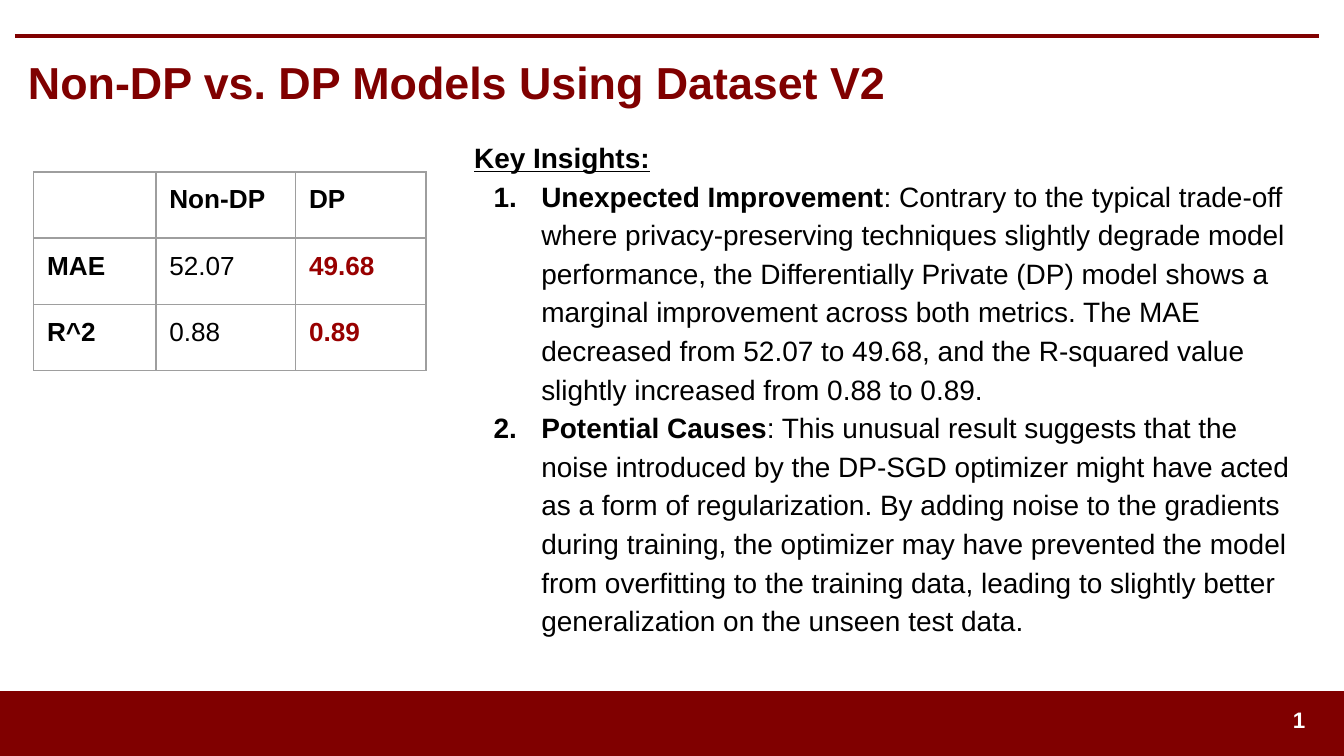
from dataclasses import dataclass

from lxml.etree import SubElement
from pptx import Presentation
from pptx.dml.color import RGBColor
from pptx.enum.shapes import MSO_CONNECTOR, MSO_SHAPE
from pptx.enum.text import MSO_ANCHOR, PP_ALIGN
from pptx.oxml.ns import qn
from pptx.util import Cm, Pt

COLORS = {
    "maroon": "800000",
    "highlight": "980000",
    "text": "000000",
    "white": "FFFFFF",
    "border": "9E9E9E",
}
FONT = "Arial"


@dataclass
class Insight:
    heading: str
    detail: str


@dataclass
class Metric:
    name: str
    non_dp: str
    dp: str


INSIGHTS = [
    Insight(
        "Unexpected Improvement",
        ": Contrary to the typical trade-off where privacy-preserving techniques "
        "slightly degrade model performance, the Differentially Private (DP) model "
        "shows a marginal improvement across both metrics. The MAE decreased from "
        "52.07 to 49.68, and the R-squared value slightly increased from 0.88 to 0.89.",
    ),
    Insight(
        "Potential Causes",
        ": This unusual result suggests that the noise introduced by the DP-SGD "
        "optimizer might have acted as a form of regularization. By adding noise to "
        "the gradients during training, the optimizer may have prevented the model "
        "from overfitting to the training data, leading to slightly better "
        "generalization on the unseen test data.",
    ),
]
METRICS = [
    Metric("", "Non-DP", "DP"),
    Metric("MAE", "52.07", "49.68"),
    Metric("R^2", "0.88", "0.89"),
]
COLUMN_WIDTHS = [Cm(2.31), Cm(2.64), Cm(2.46)]
ROW_HEIGHT = Cm(1.25)


def rgb(name: str) -> RGBColor:
    return RGBColor.from_string(COLORS[name])


def set_font(paragraph, size: float, color: str, bold: bool | None = None) -> None:
    font = paragraph.font
    font.name, font.size, font.bold = FONT, Pt(size), bold
    font.color.rgb = rgb(color)


def add_text_frame(slide, left, top, width, height, anchor, inset):
    frame = slide.shapes.add_textbox(left, top, width, height).text_frame
    frame.word_wrap = True
    frame.vertical_anchor = anchor
    frame.margin_left = frame.margin_right = Cm(0.25)
    frame.margin_top = frame.margin_bottom = inset
    return frame


def add_line_of_text(slide, text, left, top, width, height, size, color, align) -> None:
    frame = add_text_frame(slide, left, top, width, height, MSO_ANCHOR.MIDDLE, Cm(0.13))
    paragraph = frame.paragraphs[0]
    paragraph.text = text
    paragraph.alignment = align
    set_font(paragraph, size, color, True)


def add_frame_marks(slide) -> None:
    footer = slide.shapes.add_shape(
        MSO_SHAPE.RECTANGLE, Cm(0), Cm(13.08), Cm(25.4), Cm(1.24)
    )
    footer.shadow.inherit = False
    footer.fill.solid()
    footer.fill.fore_color.rgb = rgb("maroon")
    footer.line.color.rgb = rgb("maroon")
    footer.line.width = Pt(1)

    rule = slide.shapes.add_connector(
        MSO_CONNECTOR.STRAIGHT, Cm(0.28), Cm(0.68), Cm(24.92), Cm(0.68)
    )
    rule.line.color.rgb = rgb("maroon")
    rule.line.width = Pt(2)
    SubElement(rule._element.spPr, qn("a:effectLst"))


def add_borders(cell) -> None:
    properties = cell._tc.get_or_add_tcPr()
    for side in ("lnL", "lnR", "lnT", "lnB"):
        border = SubElement(properties, qn(f"a:{side}"), w=str(Pt(0.75)))
        fill = SubElement(border, qn("a:solidFill"))
        SubElement(fill, qn("a:srgbClr"), val=COLORS["border"])


def add_metrics_table(slide) -> None:
    table = slide.shapes.add_table(
        len(METRICS), len(COLUMN_WIDTHS), Cm(0.64), Cm(3.25),
        sum(COLUMN_WIDTHS), ROW_HEIGHT * len(METRICS),
    ).table
    table.first_row = table.horz_banding = False
    for column, width in zip(table.columns, COLUMN_WIDTHS):
        column.width = width
    for row, metric in enumerate(METRICS):
        table.rows[row].height = ROW_HEIGHT
        for column, value in enumerate((metric.name, metric.non_dp, metric.dp)):
            cell = table.cell(row, column)
            add_borders(cell)
            cell.fill.background()
            cell.margin_left = cell.margin_right = Cm(0.25)
            cell.margin_top = cell.margin_bottom = Cm(0.25)
            paragraph = cell.text_frame.paragraphs[0]
            if value:
                paragraph.text = value
            color = "highlight" if row > 0 and column == 2 else "text"
            set_font(paragraph, 14, color, row == 0 or column != 1)


def add_numbering(paragraph) -> None:
    properties = paragraph._p.get_or_add_pPr()
    properties.set("marL", str(Cm(1.27)))
    properties.set("indent", str(-Cm(0.9)))
    bullet_color = SubElement(properties, qn("a:buClr"))
    SubElement(bullet_color, qn("a:srgbClr"), val=COLORS["text"])
    SubElement(properties, qn("a:buFont"), typeface=FONT)
    SubElement(properties, qn("a:buAutoNum"), type="arabicPeriod")


def add_insights(slide) -> None:
    frame = add_text_frame(
        slide, Cm(8.71), Cm(2.31), Cm(16.26), Cm(9.75), MSO_ANCHOR.TOP, Cm(0.25)
    )
    title = frame.paragraphs[0]
    title.text = "Key Insights:"
    title.line_spacing = 1.15
    set_font(title, 15, "text", True)
    title.font.underline = True
    for insight in INSIGHTS:
        paragraph = frame.add_paragraph()
        paragraph.line_spacing = 1.15
        add_numbering(paragraph)
        set_font(paragraph, 15, "text")
        for text, bold in ((insight.heading, True), (insight.detail, False)):
            run = paragraph.add_run()
            run.text = text
            run.font.bold = bold


def main() -> None:
    presentation = Presentation()
    presentation.slide_width = Cm(25.4)
    presentation.slide_height = Cm(14.29)
    slide = presentation.slides.add_slide(presentation.slide_layouts[6])
    add_frame_marks(slide)
    add_line_of_text(
        slide, "Non-DP vs. DP Models Using Dataset V2",
        Cm(0.28), Cm(0.79), Cm(24.64), Cm(1.52), 24, "maroon", PP_ALIGN.LEFT,
    )
    add_line_of_text(
        slide, "1", Cm(23.5), Cm(13.23), Cm(1.42), Cm(0.76), 12, "white", PP_ALIGN.RIGHT
    )
    add_metrics_table(slide)
    add_insights(slide)
    presentation.save("out.pptx")


if __name__ == "__main__":
    main()
